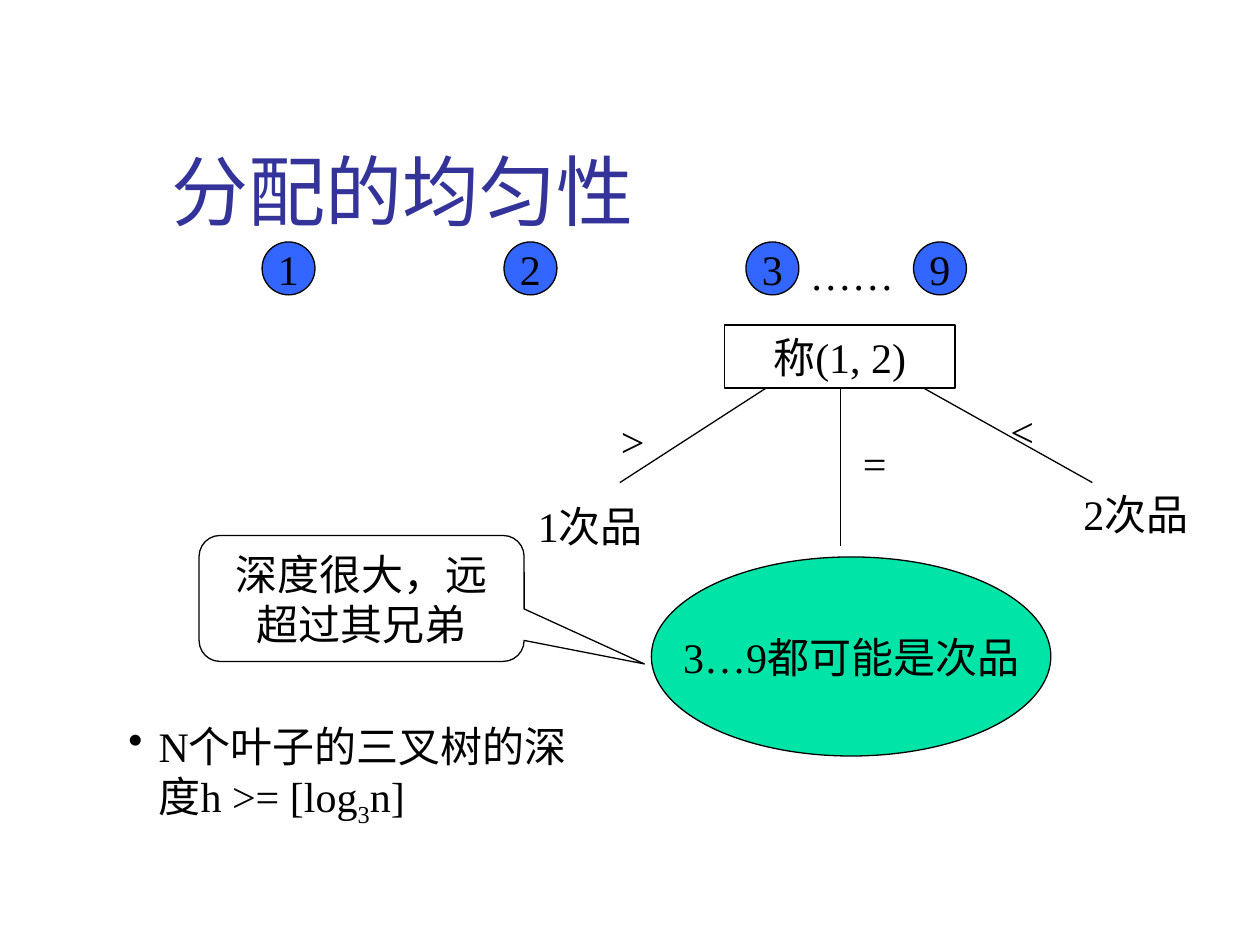
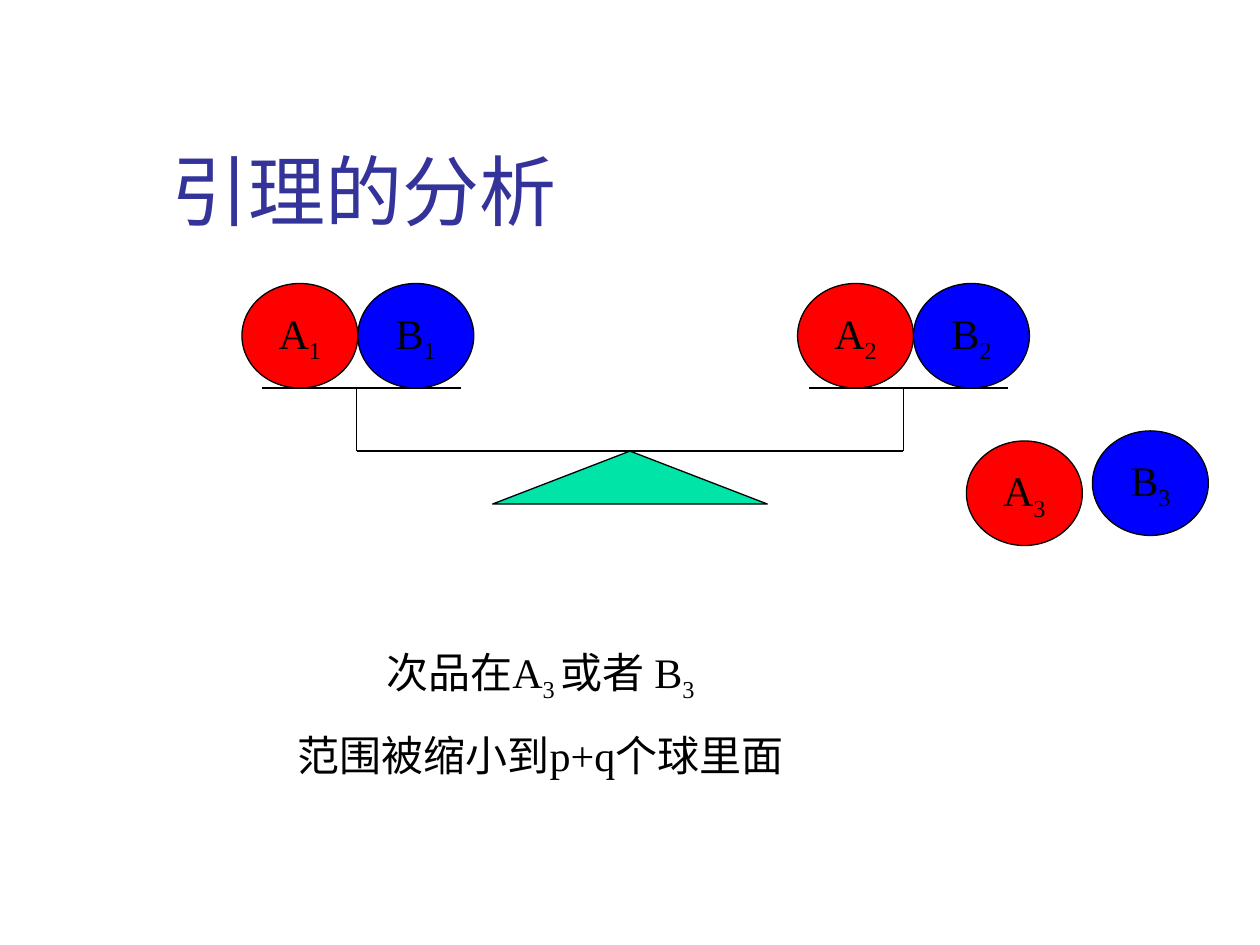
from lxml.etree import SubElement
from pptx import Presentation
from pptx.dml.color import RGBColor as RGB
from pptx.enum.shapes import MSO_CONNECTOR as LINK, MSO_SHAPE as SHAPE
from pptx.enum.text import MSO_ANCHOR as ANCHOR, MSO_AUTO_SIZE as AUTO, PP_ALIGN as ALIGN
from pptx.oxml.ns import qn
from pptx.util import Inches, Pt

HUES = {"title": "333399", "ink": "000000", "ball": "3366FF", "green": "00E4A8",
        "red": "FF0000", "blue": "0000FF"}
SERIF, SANS = "Times New Roman", "Cabin"


class Deck:
    """Holds the shared style and the slide being drawn."""

    def __init__(self):
        self.prs = Presentation()
        self.prs.slide_width, self.prs.slide_height = Inches(10), Inches(7.5)
        self.slide = None

    def hue(self, name):
        return RGB.from_string(HUES[name])

    def style(self, para, font=SERIF, size=24, hue="ink"):
        para.font.name, para.font.size = font, Pt(size)
        para.font.color.rgb = self.hue(hue)

    def start(self, title):
        self.slide = self.prs.slides.add_slide(self.prs.slide_layouts[5])
        head = self.slide.shapes.title
        head.left, head.top, head.width, head.height = map(Inches, (1.26, 0.67, 8.52, 1.25))
        frame = head.text_frame
        frame.text = title
        frame.auto_size = AUTO.NONE
        frame.vertical_anchor = ANCHOR.BOTTOM
        frame.paragraphs[0].alignment = ALIGN.LEFT
        self.style(frame.paragraphs[0], SANS, 44, "title")

    def fill_text(self, frame, lines, align, font=SERIF, bullet=False):
        for i, line in enumerate(lines):
            para = frame.add_paragraph() if i else frame.paragraphs[0]
            para.alignment = align
            if i:
                para.space_before = Pt(15)
            if bullet:
                props = para._p.get_or_add_pPr()
                props.set("marL", str(Inches(0.24)))
                props.set("indent", str(-Inches(0.24)))
                SubElement(props, qn("a:buChar")).set("char", "•")
            for j, part in enumerate(line.split("|")):
                run = para.add_run()
                run.text = part
                if j % 2:
                    run._r.get_or_add_rPr().set("baseline", "-25000")
            self.style(para, font)

    def text(self, box, *lines, align=ALIGN.LEFT, bullet=False):
        frame = self.slide.shapes.add_textbox(*map(Inches, box)).text_frame
        frame.word_wrap = True
        self.fill_text(frame, lines, align, bullet=bullet)

    def shape(self, kind, box, text="", hue=None, font=SERIF, wrap=False):
        item = self.slide.shapes.add_shape(kind, *map(Inches, box))
        item.shadow.inherit = False
        if hue:
            item.fill.solid()
            item.fill.fore_color.rgb = self.hue(hue)
        else:
            item.fill.background()
        item.line.color.rgb = self.hue("ink")
        item.line.width = Pt(0.75)
        if text:
            frame = item.text_frame
            frame.word_wrap = wrap
            frame.vertical_anchor = ANCHOR.MIDDLE
            self.fill_text(frame, [text], ALIGN.CENTER, font)
        return item

    def line(self, *ends):
        link = self.slide.shapes.add_connector(LINK.STRAIGHT, *map(Inches, ends))
        link.line.color.rgb = self.hue("ink")
        link.line.width = Pt(0.75)
        SubElement(link._element.spPr, qn("a:effectLst"))


def draw_tree(deck):
    deck.start("分配的均匀性")
    for label, x in (("1", 2.08), ("2", 4), ("3", 5.92), ("9", 7.25)):
        deck.shape(SHAPE.OVAL, (x, 1.92, 0.42, 0.42), label, "ball")
    deck.shape(SHAPE.RECTANGLE, (5.75, 2.58, 1.83, 0.5), "称(1, 2)", wrap=True)
    for x, end, low in ((6.08, 4.92, 3.83), (7.33, 8.67, 3.83), (6.67, 6.67, 4.33)):
        deck.line(x, 3.08, end, low)
    for label, x, y, width in (("……", 6.33, 1.92, 1.42), (">", 4.83, 3.25, 1.08),
                               ("<", 7.92, 3.17, 1.25), ("=", 6.75, 3.42, 0.75),
                               ("1次品", 4.17, 3.92, 1.17), ("2次品", 8.5, 3.83, 1.17)):
        deck.text((x, y, width, 0.5), label)
    deck.shape(SHAPE.OVAL, (5.17, 4.42, 3.17, 1.58), "3…9都可能是次品", "green")
    deck.text((0.92, 5.67, 4, 1.57), "N个叶子的三叉树的深度h >= [log|3|n]", bullet=True)
    note = deck.shape(SHAPE.ROUNDED_RECTANGULAR_CALLOUT, (1.58, 4.25, 2.58, 1),
                      "深度很大，远超过其兄弟", font=SANS, wrap=True)
    note.adjustments[0], note.adjustments[1] = 0.87, 0.52


def draw_scale(deck):
    deck.start("引理的分析")

    def ball(name, x, y):
        hue = "red" if name[0] == "A" else "blue"
        deck.shape(SHAPE.OVAL, (x, y, 0.92, 0.83), name, hue)

    ball("A|3", 7.67, 3.5)
    ball("B|3", 8.67, 3.42)
    deck.text((1.58, 5.08, 5.42, 1.17), "次品在A|3 |或者 B|3", "范围被缩小到p+q个球里面",
              align=ALIGN.CENTER)
    deck.shape(SHAPE.ISOSCELES_TRIANGLE, (3.91, 3.58, 2.18, 0.42), hue="green")
    deck.line(2.83, 3.58, 7.17, 3.58)
    for side, x, post, pan in ((1, 1.92, 2.83, 2.08), (2, 6.33, 7.17, 6.42)):
        ball(f"A|{side}", x, 2.25)
        ball(f"B|{side}", x + 0.92, 2.25)
        deck.line(post, 3.58, post, 3.08)
        deck.line(pan, 3.08, pan + 1.58, 3.08)


def main():
    deck = Deck()
    draw_tree(deck)
    draw_scale(deck)
    deck.prs.save("out.pptx")


if __name__ == "__main__":
    main()
